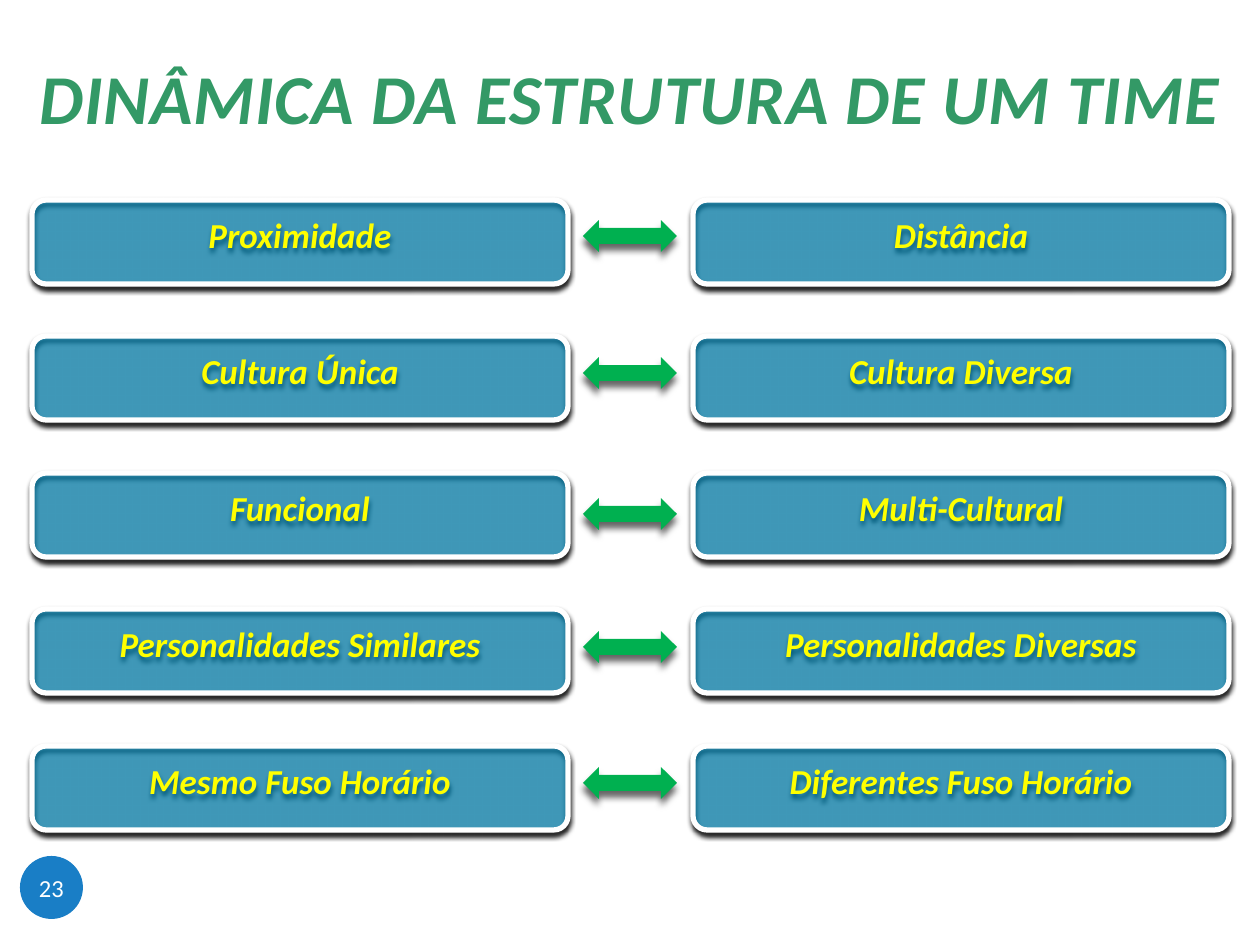
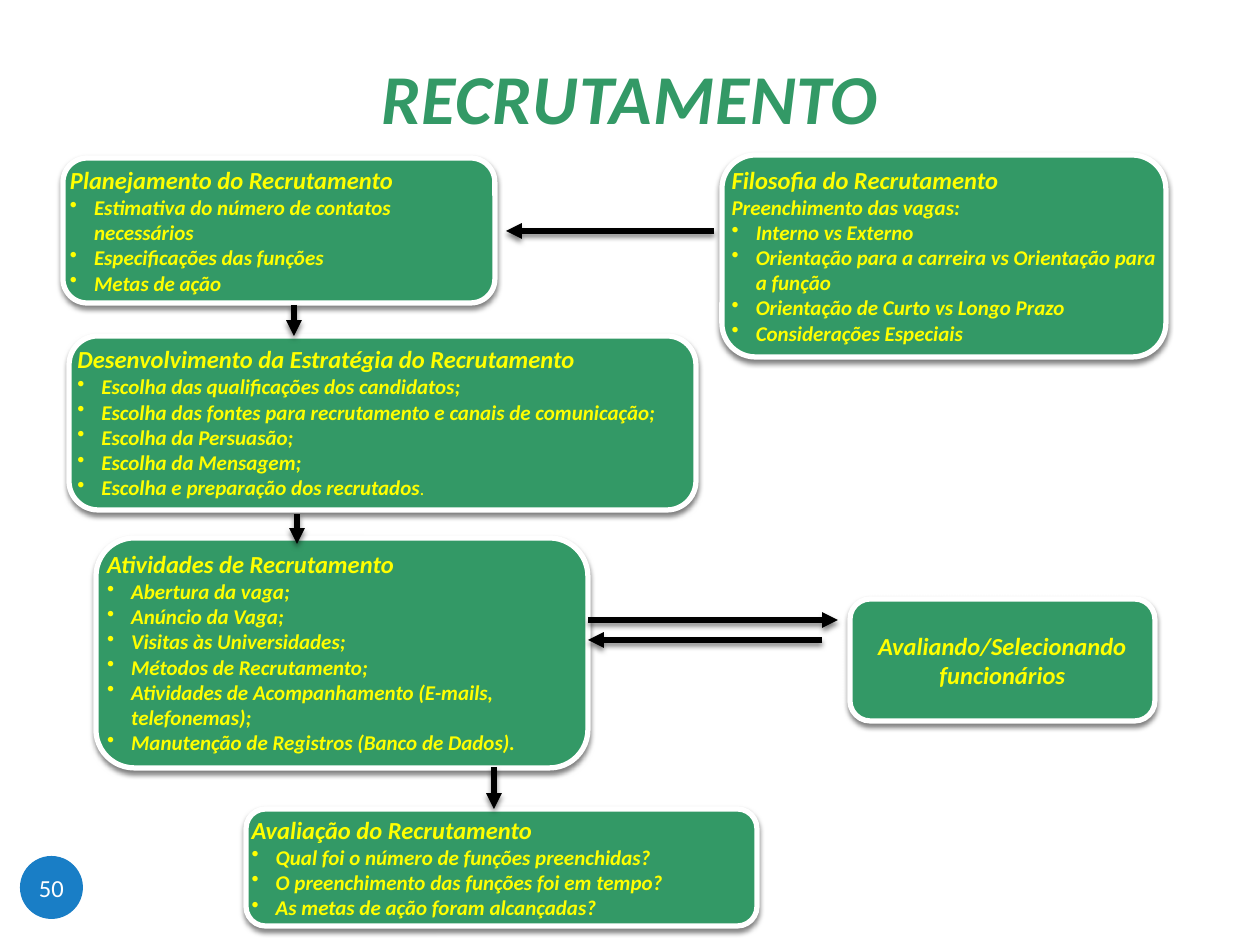
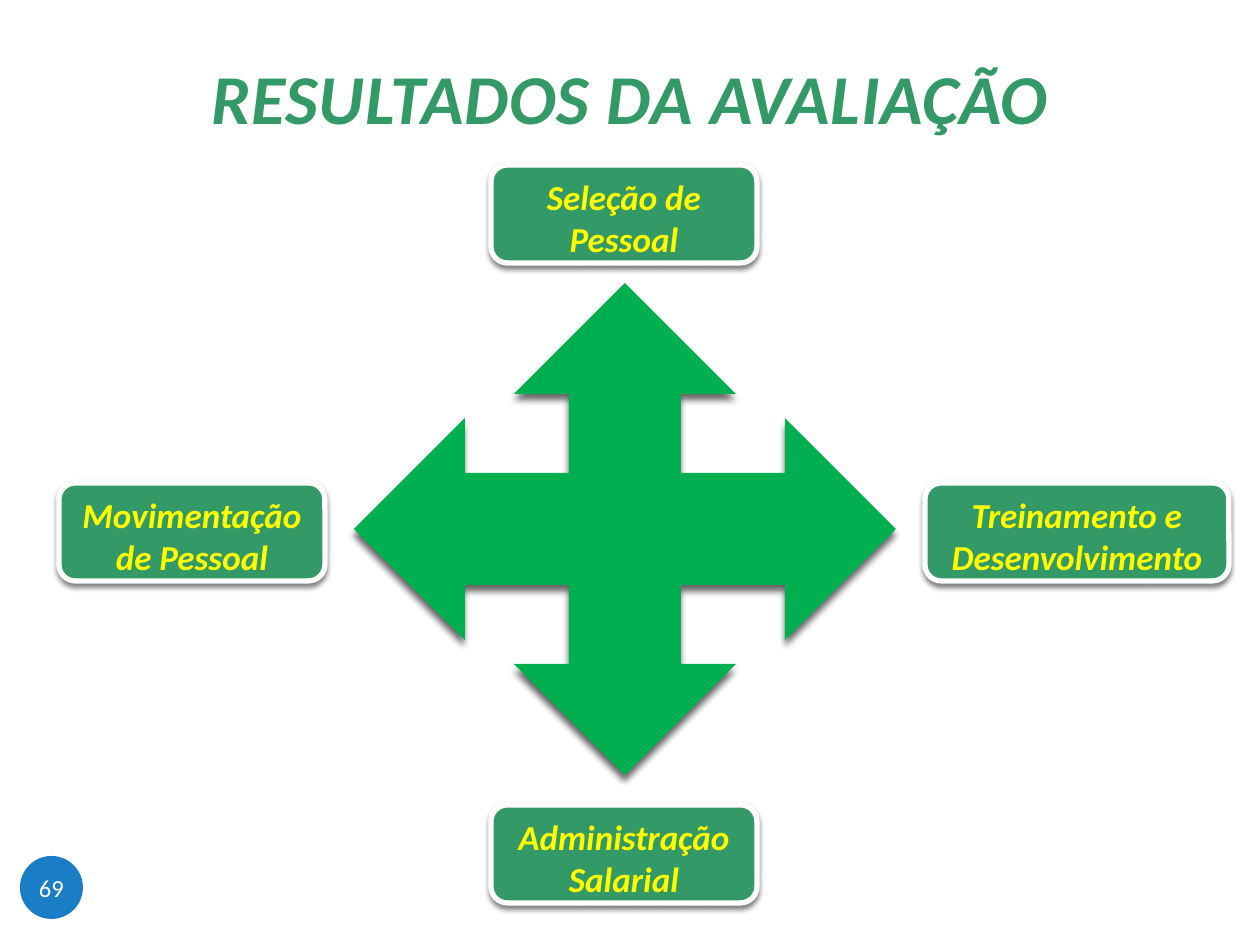
"""Build three slides on team structure, recruitment and evaluation results."""
import pptx
import pptx.dml.color
import pptx.enum.shapes
import pptx.enum.text
import pptx.util
from lxml import etree

PX = 7257
GREEN, LEAF, GOLD, WHITE, BLACK = "339966", "00B050", "FFFF00", "FFFFFF", "000000"
SOFT = (50, 3, 2)
DEEP = (60, 4, 4)
A = "{http://schemas.openxmlformats.org/drawingml/2006/main}"
KIND = pptx.enum.shapes.MSO_SHAPE
ALIGN = pptx.enum.text.PP_ALIGN
ANCHOR = pptx.enum.text.MSO_ANCHOR
STRAIGHT = pptx.enum.shapes.MSO_CONNECTOR.STRAIGHT
color = pptx.dml.color.RGBColor.from_string


def dress(shape, fill=None, edge=None, alpha=100, shade=None):
    props = shape._element.spPr
    if fill:
        shape.fill.solid()
        shape.fill.fore_color.rgb = color(fill)
        if alpha < 100:
            tone = props.find(A + "solidFill")[0]
            etree.SubElement(tone, A + "alpha", val=str(alpha * 1000))
    if edge:
        shape.line.color.rgb = color(edge)
        shape.line.width = pptx.util.Pt(3)
    else:
        shape.line.fill.background()
    effects = etree.SubElement(props, A + "effectLst")
    if shade:
        dark, blur, dist = shade
        outer = etree.SubElement(
            effects, A + "outerShdw", blurRad=str(blur * 12700), dist=str(dist * 12700),
            dir="5400000", algn="ctr", rotWithShape="0")
        tone = etree.SubElement(outer, A + "srgbClr", val=BLACK)
        etree.SubElement(tone, A + "alpha", val=str(dark * 1000))


def write(shape, text, size, tint=GOLD, bold=True, align=ALIGN.CENTER,
          anchor=ANCHOR.TOP, pads=(13, 6, 13, 6), wrap=True):
    frame = shape.text_frame
    frame.text = text
    frame.word_wrap = wrap
    frame.vertical_anchor = anchor
    left, top, right, base = [pad * PX for pad in pads]
    frame.margin_left, frame.margin_top = left, top
    frame.margin_right, frame.margin_bottom = right, base
    for para in frame.paragraphs:
        para.alignment = align
        for run in para.runs:
            run.font.name = "Calibri"
            run.font.size = pptx.util.Pt(size)
            run.font.bold = run.font.italic = bold
            run.font.color.rgb = color(tint)
    return frame.paragraphs


deck = pptx.Presentation()
deck.slide_width = pptx.util.Inches(10)
deck.slide_height = pptx.util.Inches(7.5)

pages = []
for title, number in [("DINÂMICA DA ESTRUTURA DE UM TIME", "23"),
                      ("RECRUTAMENTO", "50"),
                      ("RESULTADOS DA AVALIAÇÃO", "69")]:
    shapes = deck.slides.add_slide(deck.slide_layouts[6]).shapes
    head = shapes.add_textbox(0, 32 * PX, 1260 * PX, 136 * PX)
    paras = write(head, title, 40, GREEN, anchor=ANCHOR.MIDDLE, pads=(13, 6, 13, 13))
    paras[0].runs[0]._r.get_or_add_rPr().set("spc", "50")
    badge = shapes.add_shape(KIND.OVAL, 20 * PX, 856 * PX, 63 * PX, 63 * PX)
    dress(badge, "0070C0", alpha=90)
    write(badge, number, 14, WHITE, False, anchor=ANCHOR.MIDDLE, pads=(0, 0, 0, 0), wrap=False)
    pages.append(shapes)
team, hiring, results = pages

pairs = [
    ("Proximidade", "Distância", 220),
    ("Cultura Única", "Cultura Diversa", 357),
    ("Funcional", "Multi-Cultural", 498),
    ("Personalidades Similares", "Personalidades Diversas", 631),
    ("Mesmo Fuso Horário", "Diferentes Fuso Horário", 767),
]
for row, (near, far, mid) in enumerate(pairs):
    top = 200 + row * 273 // 2
    for left, label in [(32, near), (693, far)]:
        card = team.add_shape(KIND.ROUNDED_RECTANGLE, left * PX, top * PX, 536 * PX, 84 * PX)
        dress(card, "00B0F0", WHITE, 50, SOFT)
        write(card, label, 20, anchor=ANCHOR.BOTTOM, pads=(83, 45, 83, 24))
    arrow = team.add_shape(KIND.LEFT_RIGHT_ARROW, 583 * PX, mid * PX, 94 * PX, 32 * PX)
    dress(arrow, LEAF, shade=DEEP)

steps = [
    ((63, 158, 432, 145), "Planejamento do Recrutamento", [
        "Estimativa do número de contatos necessários",
        "Especificações das funções",
        "Metas de ação"]),
    ((722, 155, 444, 202), "Filosofia do Recrutamento", [
        "Preenchimento das vagas:",
        "Interno vs Externo",
        "Orientação para a carreira vs Orientação para a função",
        "Orientação de Curto vs Longo Prazo",
        "Considerações Especiais"]),
    ((69, 336, 627, 174), "Desenvolvimento da Estratégia do Recrutamento", [
        "Escolha das qualificações dos candidatos;",
        "Escolha das fontes para recrutamento e canais de comunicação;",
        "Escolha da Persuasão;",
        "Escolha da Mensagem;",
        "Escolha e preparação dos recrutados"]),
    ((96, 538, 492, 230), "Atividades de Recrutamento", [
        "Abertura da vaga;",
        "Anúncio da Vaga;",
        "Visitas às Universidades;",
        "Métodos de Recrutamento;",
        "Atividades de Acompanhamento (E-mails, telefonemas);",
        "Manutenção de Registros (Banco de Dados)."]),
    ((850, 599, 305, 122), "Avaliando/Selecionando\nfuncionários", []),
    ((246, 809, 511, 117), "Avaliação do Recrutamento", [
        "Qual foi o número de funções preenchidas?",
        "O preenchimento das funções foi em tempo?",
        "As metas de ação foram alcançadas?"]),
]
for box, head, items in steps:
    card = hiring.add_shape(KIND.ROUNDED_RECTANGLE, *[n * PX for n in box])
    dress(card, GREEN, WHITE, shade=SOFT)
    align, anchor = (ALIGN.LEFT, ANCHOR.TOP) if items else (ALIGN.CENTER, ANCHOR.MIDDLE)
    paras = write(card, "\n".join([head] + items), 14, align=align, anchor=anchor,
                  pads=(0, 0, 0, 0))
    if not items:
        continue
    for para in paras[1:]:
        para.runs[0].font.size = pptx.util.Pt(12)
        if not para.text.endswith(":"):
            props = para._p.get_or_add_pPr()
            props.set("marL", str(24 * PX))
            props.set("indent", str(-24 * PX))
            etree.SubElement(props, A + "buChar", char="•")
    if head.startswith("Desenvolvimento"):
        dot = paras[-1].add_run()
        dot.text = "."
        dot.font.name = "Calibri"
        dot.font.size = pptx.util.Pt(10.5)
        dot.font.italic = True
        dot.font.color.rgb = color(GOLD)

for ends in [(494, 767, 494, 809), (297, 514, 297, 544), (294, 305, 294, 336),
             (714, 231, 506, 231), (588, 620, 838, 620), (822, 640, 588, 640)]:
    line = hiring.add_connector(STRAIGHT, *[n * PX for n in ends])
    dress(line, edge=BLACK, shade=SOFT)
    etree.SubElement(line.get_or_add_ln(), A + "tailEnd", type="triangle")

for left, top, width, label in [(491, 165, 266, "Seleção de Pessoal"),
                                (925, 483, 304, "Treinamento e Desenvolvimento"),
                                (491, 805, 266, "Administração Salarial"),
                                (59, 483, 266, "Movimentação de Pessoal")]:
    card = results.add_shape(KIND.ROUNDED_RECTANGLE, left * PX, top * PX, width * PX, 98 * PX)
    dress(card, GREEN, WHITE, shade=SOFT)
    write(card, label, 20)

arm = [(0, -246), (111, -135), (56, -135), (56, -56), (160, -56), (160, -111), (271, 0)]
back = arm[-2::-1]
ring = (arm + [(x, -y) for x, y in back]
        + [(-x, -y) for x, y in arm[1:]] + [(-x, y) for x, y in back[:-1]])
points = [(625 + x, 529 + y) for x, y in ring]
pen = results.build_freeform(*points[0], scale=PX)
pen.add_line_segments(points[1:], close=True)
dress(pen.convert_to_shape(), LEAF, shade=DEEP)

deck.save("out.pptx")
